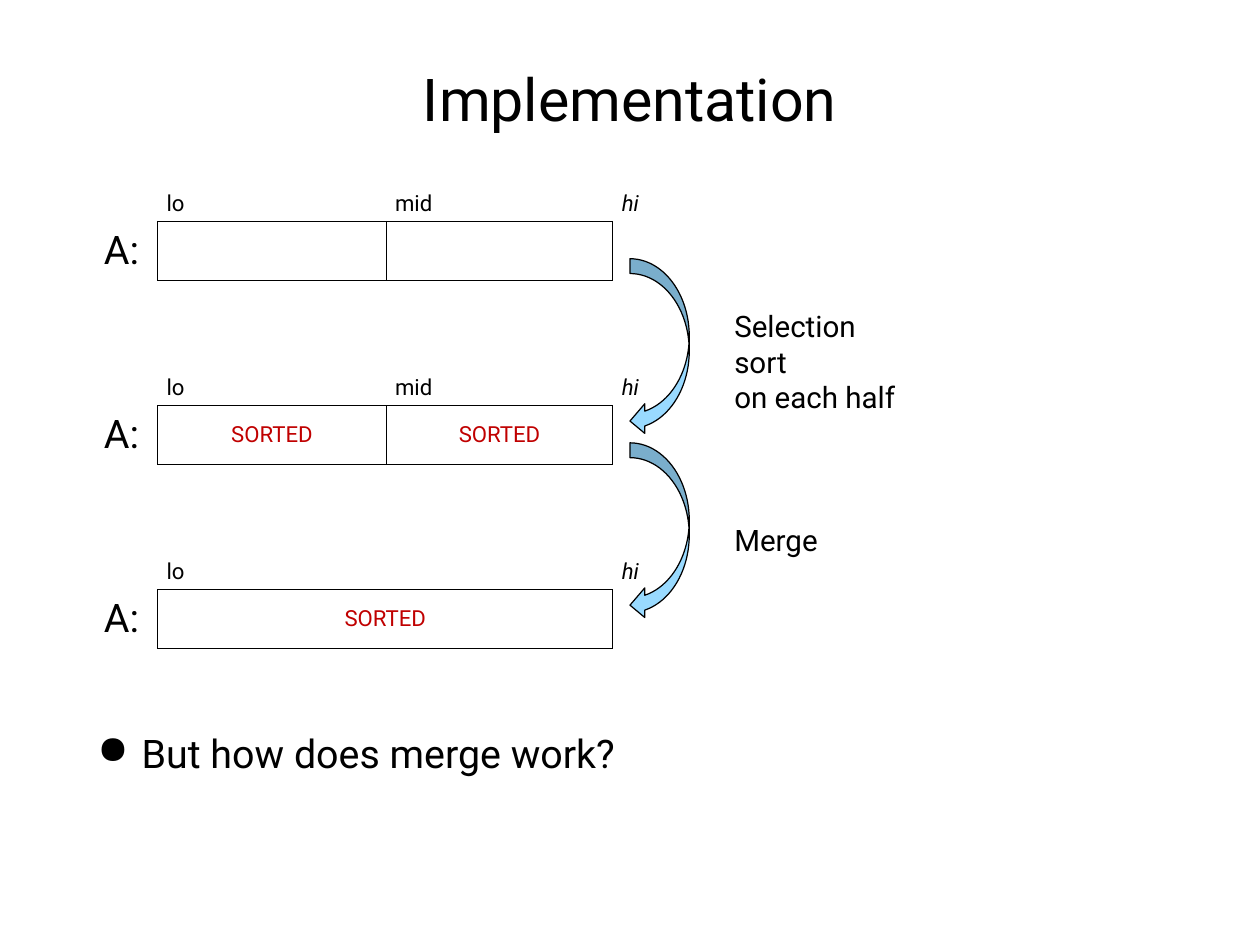
"""Build the slide that shows merge sort's array before, during and after merging."""
from lxml.etree import SubElement
from pptx import Presentation
from pptx.dml.color import RGBColor
from pptx.enum.shapes import MSO_SHAPE as Preset
from pptx.enum.text import MSO_ANCHOR as Anchor, PP_ALIGN as Align
from pptx.oxml.ns import qn
from pptx.util import Cm, Pt

BLACK = RGBColor(0x00, 0x00, 0x00)
RED = RGBColor(0xC0, 0x00, 0x00)
SKY = RGBColor(0x99, 0xDA, 0xFF)
FONT = "Roboto"
STAGE_PITCH = 5.28
COLUMNS = (6.55, 6.5, 1.14)
ROWS = (1.27, 1.7)
STAGES = (
    (("lo", "mid", "hi"), ("", "")),
    (("lo", "mid", "hi"), ("SORTED", "SORTED")),
    (("lo", "", "hi"), ("SORTED",)),
)
STEPS = (("Selection sort\non each half", 8.69, 2.31), ("Merge", 14.81, 1.27))


def write(frame, text, size=18, color=BLACK, align=Align.LEFT, italic=False):
    """Put formatted text in the first paragraph of a frame and return it."""
    paragraph = frame.paragraphs[0]
    paragraph.text = text
    paragraph.alignment = align
    for run in paragraph.runs:
        run.font.name = FONT
        run.font.size = Pt(size)
        run.font.color.rgb = color
        run.font.italic = italic
    return paragraph


def add_text(slide, text, box, inset=0.15, anchor=Anchor.MIDDLE, **style):
    """Add a wrapping text box and return its paragraph."""
    frame = slide.shapes.add_textbox(*map(Cm, box)).text_frame
    frame.word_wrap = True
    frame.vertical_anchor = anchor
    frame.margin_left = frame.margin_right = Cm(inset)
    frame.margin_top = frame.margin_bottom = Cm(0.15)
    return write(frame, text, **style)


def add_bullet(paragraph, indent):
    """Give a paragraph a round bullet with a hanging indent."""
    properties = paragraph._p.get_or_add_pPr()
    properties.set("marL", str(Cm(indent)))
    properties.set("indent", str(-Cm(indent)))
    SubElement(properties, qn("a:buChar"), char="●")


def set_borders(cell, black_sides):
    """Draw the listed sides of a cell in black and hide the others."""
    properties = cell._tc.get_or_add_tcPr()
    for side in "LRTB":
        line = SubElement(properties, qn(f"a:ln{side}"), w=str(Pt(1)))
        if side in black_sides:
            fill = SubElement(line, qn("a:solidFill"))
            SubElement(fill, qn("a:srgbClr"), val=str(BLACK))
        else:
            SubElement(line, qn("a:noFill"))
    cell.fill.background()


def add_array(slide, top, indices, halves):
    """Add one stage of the array with its label and index names."""
    add_text(slide, "A:", (2.62, top + 1.22, 1.73, 1.65), size=32, align=Align.CENTER)
    array = slide.shapes.add_table(
        len(ROWS), len(COLUMNS), Cm(4.52), Cm(top), Cm(sum(COLUMNS)), Cm(sum(ROWS))
    ).table
    array.first_row = array.horz_banding = False
    for column, width in zip(array.columns, COLUMNS):
        column.width = Cm(width)
    for row, height in zip(array.rows, ROWS):
        row.height = Cm(height)

    for position, (index, header_sides, body_sides) in enumerate(
        zip(indices, ("B", "B", ""), ("LRTB", "LRTB", "L"))
    ):
        header = array.cell(0, position)
        set_borders(header, header_sides)
        set_borders(array.cell(1, position), body_sides)
        header.vertical_anchor = Anchor.BOTTOM
        write(header.text_frame, index, italic=index == "hi")

    if len(halves) == 1:
        array.cell(1, 0).merge(array.cell(1, 1))
    for position, state in enumerate(halves):
        half = array.cell(1, position)
        half.vertical_anchor = Anchor.MIDDLE
        write(half.text_frame, state, color=RED, align=Align.CENTER)


def add_step_arrow(slide, top):
    """Add the curved arrow that leads to the next stage."""
    arrow = slide.shapes.add_shape(
        Preset.CURVED_LEFT_ARROW, Cm(18.06), Cm(top), Cm(1.7), Cm(5.08)
    )
    arrow.shadow.inherit = False
    arrow.fill.solid()
    arrow.fill.fore_color.rgb = SKY
    arrow.line.color.rgb = BLACK
    arrow.line.width = Pt(1)


def main():
    """Compose the slide and save it."""
    deck = Presentation()
    deck.slide_width, deck.slide_height = Cm(36.12), Cm(27.1)
    slide = deck.slides.add_slide(deck.slide_layouts[6])

    add_text(slide, "Implementation", (2.64, 0.71, 30.84, 4.17),
             size=48, align=Align.CENTER)
    question = add_text(slide, "But how does merge work?", (2.64, 20.75, 30.84, 3.91),
                        anchor=Anchor.TOP, size=32)
    add_bullet(question, 1.27)

    for number, (indices, halves) in enumerate(STAGES):
        add_array(slide, 5.08 + number * STAGE_PITCH, indices, halves)
    for number, (step, top, height) in enumerate(STEPS):
        add_step_arrow(slide, 7.42 + number * STAGE_PITCH)
        add_text(slide, step, (20.8, top, 5.5, height),
                 inset=0.25, anchor=Anchor.TOP, size=24)

    deck.save("out.pptx")


if __name__ == "__main__":
    main()
